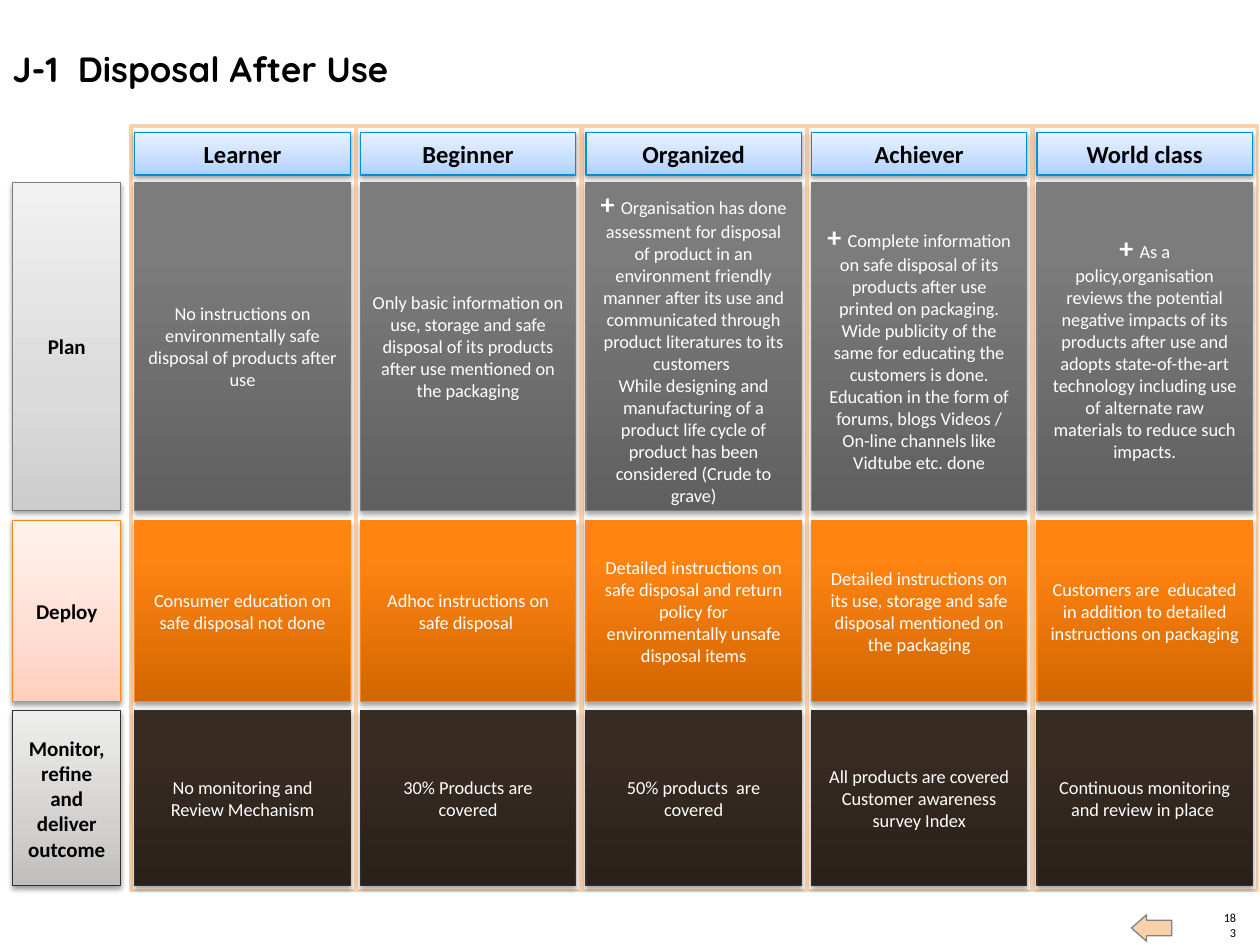
from dataclasses import dataclass
from typing import Optional

from lxml.etree import SubElement
from pptx import Presentation
from pptx.dml.color import RGBColor
from pptx.enum.shapes import MSO_SHAPE as Preset
from pptx.enum.text import MSO_ANCHOR as Anchor, PP_ALIGN as Align
from pptx.oxml.ns import qn
from pptx.util import Inches, Pt


@dataclass(frozen=True)
class Style:
    stops: tuple[tuple[int, str], ...]
    line: str
    size: float
    color: str
    bold: bool
    shadow_alpha: int
    shadow_distance: float


@dataclass(frozen=True)
class Theme:
    font: str = "Calibri"
    title_font: str = "Quicksand"
    ink: str = "000000"
    paper: str = "FFFFFF"
    peach: str = "FCD1AA"
    arrow_line: str = "808080"
    title_size: float = 20
    number_size: float = 7
    header_size: float = 14
    label_size: float = 12
    body_size: float = 10.5
    plus_size: float = 16
    line_width: float = 0.75
    frame_width: float = 2
    shadow_blur: float = 3.1


THEME = Theme()


def pale(low: str, middle: str, high: str, line: str, size: float) -> Style:
    return Style(((0, low), (35, middle), (100, high)), line, size, THEME.ink, True, 38, 1.6)


def deep(low: str, middle: str, high: str, line: str) -> Style:
    return Style(((0, low), (80, middle), (100, high)), line, THEME.body_size,
                 THEME.paper, False, 35, 1.8)


@dataclass(frozen=True)
class Stage:
    label: str
    top: float
    height: float
    label_style: Style
    card_style: Style
    cards: tuple[str, ...]  # a line break starts a new paragraph


# Maturity levels across, stages down
LEVELS = ("Learner", "Beginner", "Organized", "Achiever", "World class")
HEADER_STYLE = pale("AECFFF", "C6DDFF", "E9F2FF", "008FDC", THEME.header_size)
PLUS = "+ "
STAGES = (
    Stage("Plan", 1.45, 2.6,
          pale("CDCDCD", "DBDBDB", "F1F1F1", "7D7D7D", THEME.label_size),
          deep("606060", "7C7C7C", "7D7D7D", "7D7D7D"), (
              "No instructions on environmentally safe disposal of products after use",
              "Only basic information on use, storage and safe disposal of its products "
              "after use mentioned on the packaging",
              "+ Organisation has done assessment for disposal of product in an environment "
              "friendly manner after its use and communicated through product literatures "
              "to its customers \n"
              "While designing and manufacturing of a product life cycle of product has "
              "been considered (Crude to grave)",
              "+ Complete information on safe disposal of its products after use printed "
              "on packaging.\n"
              "Wide publicity of the same for educating the customers is done. Education in "
              "the form of forums, blogs Videos / On-line channels like Vidtube etc. done",
              "+ As a policy,organisation reviews the potential negative impacts of its "
              "products after use and adopts state-of-the-art technology including use of "
              "alternate raw materials to reduce such impacts.")),
    Stage("Deploy", 4.13, 1.44,
          pale("FFCFBD", "FFDDD1", "FFF2EE", "FF8615", THEME.label_size),
          deep("D26600", "FF8412", "FF8514", "FF8615"), (
              "Consumer education on safe disposal not done",
              "Adhoc instructions on safe disposal ",
              "Detailed instructions on safe disposal and return policy for environmentally "
              "unsafe disposal items",
              "Detailed instructions on its use, storage and safe disposal mentioned on the "
              "packaging",
              "Customers are  educated in addition to detailed instructions on packaging ")),
    Stage("Monitor, refine and deliver outcome", 5.64, 1.39,
          pale("C0BEBC", "D3D1D0", "EEEEED", "352C25", THEME.label_size),
          deep("2A211B", "372B22", "372B22", "352C25"), (
              "No monitoring and Review Mechanism",
              "30% Products are covered",
              "50% products  are covered",
              "All products are covered\nCustomer awareness survey Index",
              "Continuous monitoring and review in place ")),
)

# Grid in inches
PITCH = 1.79
FRAME_LEFT, FRAME_TOP, FRAME_WIDTH, FRAME_HEIGHT = 1.04, 1, 1.78, 6.07
CARD_LEFT, CARD_WIDTH = 1.07, 1.71
LABEL_LEFT, LABEL_WIDTH = 0.1, 0.86
HEADER_TOP, HEADER_HEIGHT = 1.05, 0.34


def add_run(paragraph, text: str, size: float, color: str, bold: bool = False,
            font: str = THEME.font) -> None:
    run = paragraph.add_run()
    run.text = text
    run.font.name, run.font.size, run.font.bold = font, Pt(size), bold
    run.font.color.rgb = RGBColor.from_string(color)


def add_block(slide, left: float, top: float, width: float, height: float, line: str,
              line_width: float, fill: Optional[str] = None, preset: Preset = Preset.RECTANGLE):
    block = slide.shapes.add_shape(preset, Inches(left), Inches(top),
                                   Inches(width), Inches(height))
    if fill:
        block.fill.solid()
        block.fill.fore_color.rgb = RGBColor.from_string(fill)
    block.line.color.rgb = RGBColor.from_string(line)
    block.line.width = Pt(line_width)
    block.shadow.inherit = False
    return block


def add_color(parent, color: str):
    return SubElement(parent, qn("a:srgbClr"), val=color)


def add_card(slide, left: float, top: float, width: float, height: float,
             text: str, style: Style) -> None:
    card = add_block(slide, left, top, width, height, style.line, THEME.line_width)

    # Gradient rising from the bottom edge
    card.fill.gradient()
    card.fill.gradient_angle = 90
    properties = card.element.spPr
    stop_list = properties.find(f"{qn('a:gradFill')}/{qn('a:gsLst')}")
    for stop in list(stop_list):
        stop_list.remove(stop)
    for position, color in style.stops:
        add_color(SubElement(stop_list, qn("a:gs"), pos=str(position * 1000)), color)

    # Soft shadow straight down
    shadow = SubElement(properties.find(qn("a:effectLst")), qn("a:outerShdw"),
                        blurRad=str(Pt(THEME.shadow_blur)), dist=str(Pt(style.shadow_distance)),
                        dir="5400000", rotWithShape="0")
    SubElement(add_color(shadow, THEME.ink), qn("a:alpha"), val=str(style.shadow_alpha * 1000))

    frame = card.text_frame
    frame.word_wrap = True
    frame.vertical_anchor = Anchor.MIDDLE
    for index, line in enumerate(text.split("\n")):
        paragraph = frame.add_paragraph() if index else frame.paragraphs[0]
        paragraph.alignment = Align.CENTER
        if line.startswith(PLUS):
            add_run(paragraph, PLUS, THEME.plus_size, style.color, True)
        add_run(paragraph, line.removeprefix(PLUS), style.size, style.color, style.bold)


def add_text_box(slide, left: float, top: float, width: float, height: float):
    frame = slide.shapes.add_textbox(Inches(left), Inches(top),
                                     Inches(width), Inches(height)).text_frame
    frame.word_wrap = True
    return frame


def main() -> None:
    deck = Presentation()
    deck.slide_width, deck.slide_height = Inches(10), Inches(7.5)
    slide = deck.slides.add_slide(deck.slide_layouts[6])

    # Page number and back arrow
    number = add_text_box(slide, 9.69, 7.22, 0.12, 0.24)
    number.margin_left = number.margin_right = number.margin_top = number.margin_bottom = 0
    number.vertical_anchor = Anchor.BOTTOM
    number.paragraphs[0].alignment = Align.RIGHT
    add_run(number.paragraphs[0], "183", THEME.number_size, THEME.ink)
    arrow = add_block(slide, 8.98, 7.26, 0.32, 0.21, THEME.arrow_line, THEME.line_width,
                      THEME.peach, Preset.RIGHT_ARROW)
    arrow.rotation = 180
    arrow.adjustments[0], arrow.adjustments[1] = 0.59, 0.57

    # Title
    title = add_text_box(slide, 0, 0.33, 8.6, 0.44)
    add_run(title.paragraphs[0], "J-1  Disposal After Use", THEME.title_size, THEME.ink,
            True, THEME.title_font)

    # Column frames behind the cards
    for column in range(len(LEVELS)):
        add_block(slide, FRAME_LEFT + column * PITCH, FRAME_TOP, FRAME_WIDTH, FRAME_HEIGHT,
                  THEME.peach, THEME.frame_width, THEME.paper)

    # Stage labels and cards
    for stage in STAGES:
        add_card(slide, LABEL_LEFT, stage.top, LABEL_WIDTH, stage.height,
                 stage.label, stage.label_style)
        for column, text in enumerate(stage.cards):
            add_card(slide, CARD_LEFT + column * PITCH, stage.top, CARD_WIDTH, stage.height,
                     text, stage.card_style)

    # Level headers
    for column, level in enumerate(LEVELS):
        add_card(slide, CARD_LEFT + column * PITCH, HEADER_TOP, CARD_WIDTH, HEADER_HEIGHT,
                 level, HEADER_STYLE)

    deck.save("out.pptx")


if __name__ == "__main__":
    main()
